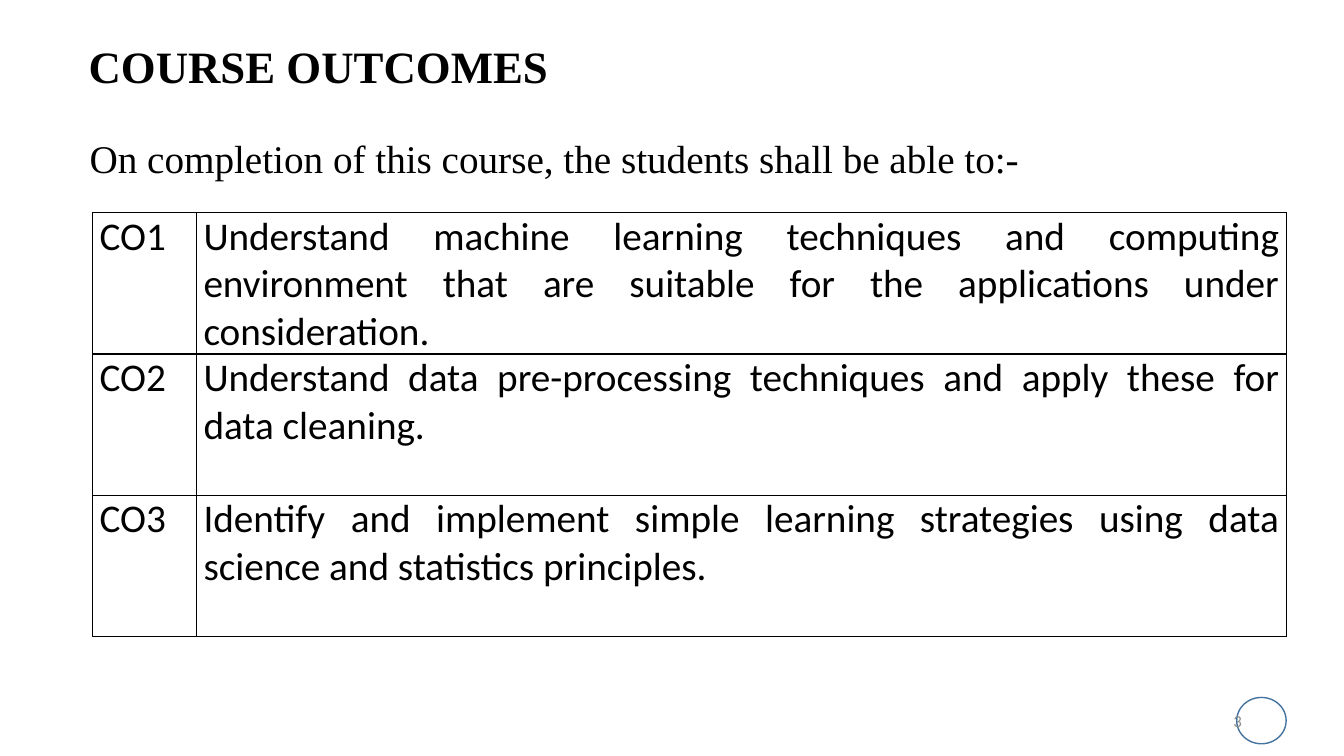
from lxml import etree
from pptx import Presentation
from pptx import util as u
from pptx.dml.color import RGBColor
from pptx.enum import shapes, text
from pptx.oxml.ns import qn

TITLE = "COURSE OUTCOMES"
INTRO = "On completion of this course, the students shall be able to:-"
OUTCOMES = [
    ("CO1", "Understand machine learning techniques and computing environment "
            "that are suitable for the applications under consideration."),
    ("CO2", "Understand data pre-processing techniques and apply these for data cleaning."),
    ("CO3", "Identify and implement simple learning strategies using data science "
            "and statistics principles."),
]
PAGE = "3"

THEME = {
    "serif": "Times New Roman", "sans": "Calibri",
    "title": 32, "body": 28, "page": 12,
    "ink": "000000", "muted": "8C8C8C", "ring": "43739E",
}
COLS = (74.2, 778.3)
ROW_H = 100.8
Pt = u.Pt
ALIGN = text.PP_ALIGN


def style(p, font, size, color="ink", bold=False, align=ALIGN.LEFT):
    p.alignment = align
    for r in p.runs:
        r.font.name = THEME[font]
        r.font.size = Pt(THEME[size])
        r.font.bold = bold
        r.font.color.rgb = RGBColor.from_string(THEME[color])


def add_text(s, box, words, anchor, wrap=True, **look):
    tf = s.shapes.add_textbox(*map(Pt, box)).text_frame
    tf.word_wrap = wrap
    tf.vertical_anchor = anchor
    tf.text = words
    p = tf.paragraphs[0]
    style(p, **look)
    return p


def add_borders(cell):
    tcPr = cell._tc.get_or_add_tcPr()
    for i, side in enumerate("LRTB"):
        ln = etree.Element(qn(f"a:ln{side}"), w=str(Pt(1)))
        fill = etree.SubElement(ln, qn("a:solidFill"))
        etree.SubElement(fill, qn("a:srgbClr"), val=THEME["ink"])
        tcPr.insert(i, ln)


def add_outcomes(s):
    size = len(OUTCOMES), len(COLS)
    table = s.shapes.add_table(*size, Pt(66.2), Pt(152), Pt(sum(COLS)),
                               Pt(ROW_H * len(OUTCOMES))).table
    table.first_row = table.horz_banding = False
    for col, width in zip(table.columns, COLS):
        col.width = Pt(width)
    for row, words in zip(table.rows, OUTCOMES):
        row.height = Pt(ROW_H)
        for cell, line, align in zip(row.cells, words, (ALIGN.LEFT, ALIGN.JUSTIFY)):
            cell.margin_left = cell.margin_right = Pt(5)
            cell.margin_top = cell.margin_bottom = 0
            cell.fill.background()
            add_borders(cell)
            cell.text_frame.text = line
            style(cell.text_frame.paragraphs[0], "sans", "body", align=align)


def main():
    prs = Presentation()
    prs.slide_width, prs.slide_height = Pt(960), Pt(540)
    s = prs.slides.add_slide(prs.slide_layouts[6])

    p = add_text(s, (56.2, 27.4, 876.2, 42.5), TITLE, text.MSO_ANCHOR.BOTTOM,
                 font="serif", size="title", bold=True)
    p.line_spacing = 0.9

    ring = s.shapes.add_shape(shapes.MSO_SHAPE.OVAL, Pt(883.4), Pt(498.2), Pt(35.3), Pt(33.1))
    ring.shadow.inherit = False
    ring.fill.background()
    ring.line.color.rgb = RGBColor.from_string(THEME["ring"])
    ring.line.width = Pt(1)

    add_text(s, (678.2, 500.4, 216, 28.8), PAGE, text.MSO_ANCHOR.MIDDLE,
             font="sans", size="page", color="muted", align=ALIGN.RIGHT)
    add_text(s, (56.9, 92.2, 699.1, 41), INTRO, text.MSO_ANCHOR.TOP, wrap=False,
             font="serif", size="body")
    add_outcomes(s)
    prs.save("out.pptx")


if __name__ == "__main__":
    main()
